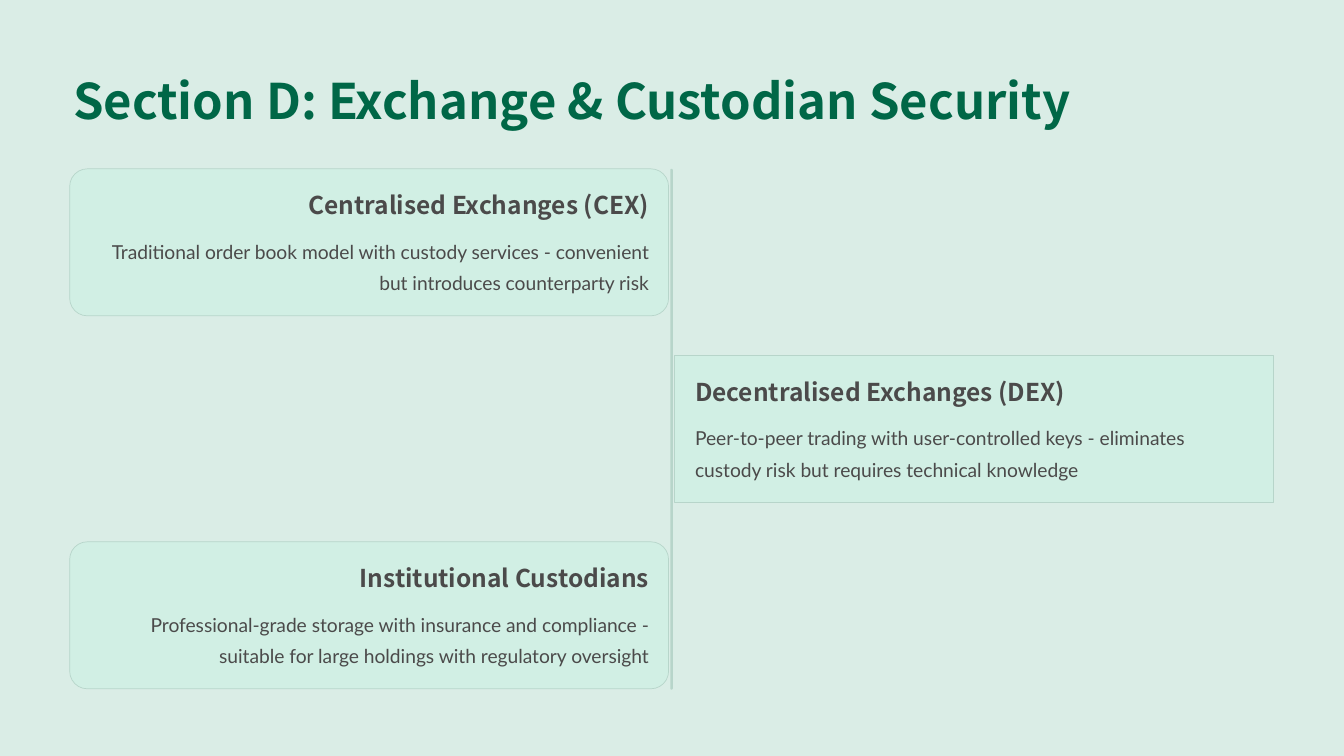
from dataclasses import dataclass

from pptx import Presentation
from pptx.dml.color import RGBColor
from pptx.enum.shapes import MSO_SHAPE
from pptx.enum.text import MSO_ANCHOR, PP_ALIGN
from pptx.util import Inches, Pt


@dataclass(frozen=True)
class TextStyle:
    font: str
    size: float
    color: str
    bold: bool
    spacing: float


@dataclass(frozen=True)
class Theme:
    background: str = "DAEDE6"
    card: str = "D1EFE4"
    border: str = "B7D5CA"
    border_width: float = 0.6
    title: TextStyle = TextStyle("Noto Sans CJK SC", 42, "006747", True, 53)
    heading: TextStyle = TextStyle("Noto Sans CJK SC", 21, "4B4A4A", True, 26.5)
    body: TextStyle = TextStyle("Lato", 16.5, "4B4A4A", False, 27)


class TimelineSlide:
    def __init__(self, presentation, theme):
        self.theme = theme
        self.slide = presentation.slides.add_slide(presentation.slide_layouts[6])
        background = self.slide.background.fill
        background.solid()
        background.fore_color.rgb = RGBColor.from_string(theme.background)

    def panel(self, left, top, width, height, fill, corner=0, border=None):
        kind = MSO_SHAPE.ROUNDED_RECTANGLE if corner else MSO_SHAPE.RECTANGLE
        panel = self.slide.shapes.add_shape(
            kind, Inches(left), Inches(top), Inches(width), Inches(height)
        )
        panel.shadow.inherit = False
        panel.fill.solid()
        panel.fill.fore_color.rgb = RGBColor.from_string(fill)
        if corner:
            panel.adjustments[0] = corner
        if border:
            panel.line.color.rgb = RGBColor.from_string(border)
            panel.line.width = Pt(self.theme.border_width)
        else:
            panel.line.fill.background()

    def text(self, left, top, width, height, wording, style, align=PP_ALIGN.LEFT):
        frame = self.slide.shapes.add_textbox(
            Inches(left), Inches(top), Inches(width), Inches(height)
        ).text_frame
        frame.word_wrap = True
        frame.vertical_anchor = MSO_ANCHOR.TOP
        frame.margin_left = frame.margin_right = 0
        frame.margin_top = frame.margin_bottom = 0
        frame.text = wording
        paragraph = frame.paragraphs[0]
        paragraph.alignment = align
        paragraph.line_spacing = Pt(style.spacing)
        font = paragraph.runs[0].font
        font.name = style.font
        font.size = Pt(style.size)
        font.bold = style.bold
        font.color.rgb = RGBColor.from_string(style.color)

    def card(self, left, top, heading, body, corner, align):
        theme = self.theme
        text_left = left + 0.245
        self.panel(left, top, 7.13, 1.75, theme.card, corner, theme.border)
        self.text(text_left, top + 0.24, 6.65, 0.37, heading, theme.heading, align)
        self.text(text_left, top + 0.75, 6.65, 0.75, body, theme.body, align)


CARDS = [
    (
        "Centralised Exchanges (CEX)",
        "Traditional order book model with custody services - convenient "
        "but introduces counterparty risk",
    ),
    (
        "Decentralised Exchanges (DEX)",
        "Peer-to-peer trading with user-controlled keys - eliminates "
        "custody risk but requires technical knowledge",
    ),
    (
        "Institutional Custodians",
        "Professional-grade storage with insurance and compliance - "
        "suitable for large holdings with regulatory oversight",
    ),
]
SIDES = [(0.83, 0.12, PP_ALIGN.RIGHT), (8.03, 0, PP_ALIGN.LEFT)]
FIRST_TOP = 2.01
CARD_STEP = 2.22


def main():
    presentation = Presentation()
    presentation.slide_width = Inches(16)
    presentation.slide_height = Inches(9)
    theme = Theme()
    timeline = TimelineSlide(presentation, theme)
    timeline.text(
        0.87, 0.8, 14.26, 0.74, "Section D: Exchange & Custodian Security", theme.title
    )
    timeline.panel(7.98, FIRST_TOP, 0.03, 6.2, theme.border, corner=0.5)
    for index, (heading, body) in enumerate(CARDS):
        left, corner, align = SIDES[index % 2]
        top = FIRST_TOP + index * CARD_STEP
        timeline.card(left, top, heading, body, corner, align)
    presentation.save("out.pptx")


if __name__ == "__main__":
    main()
